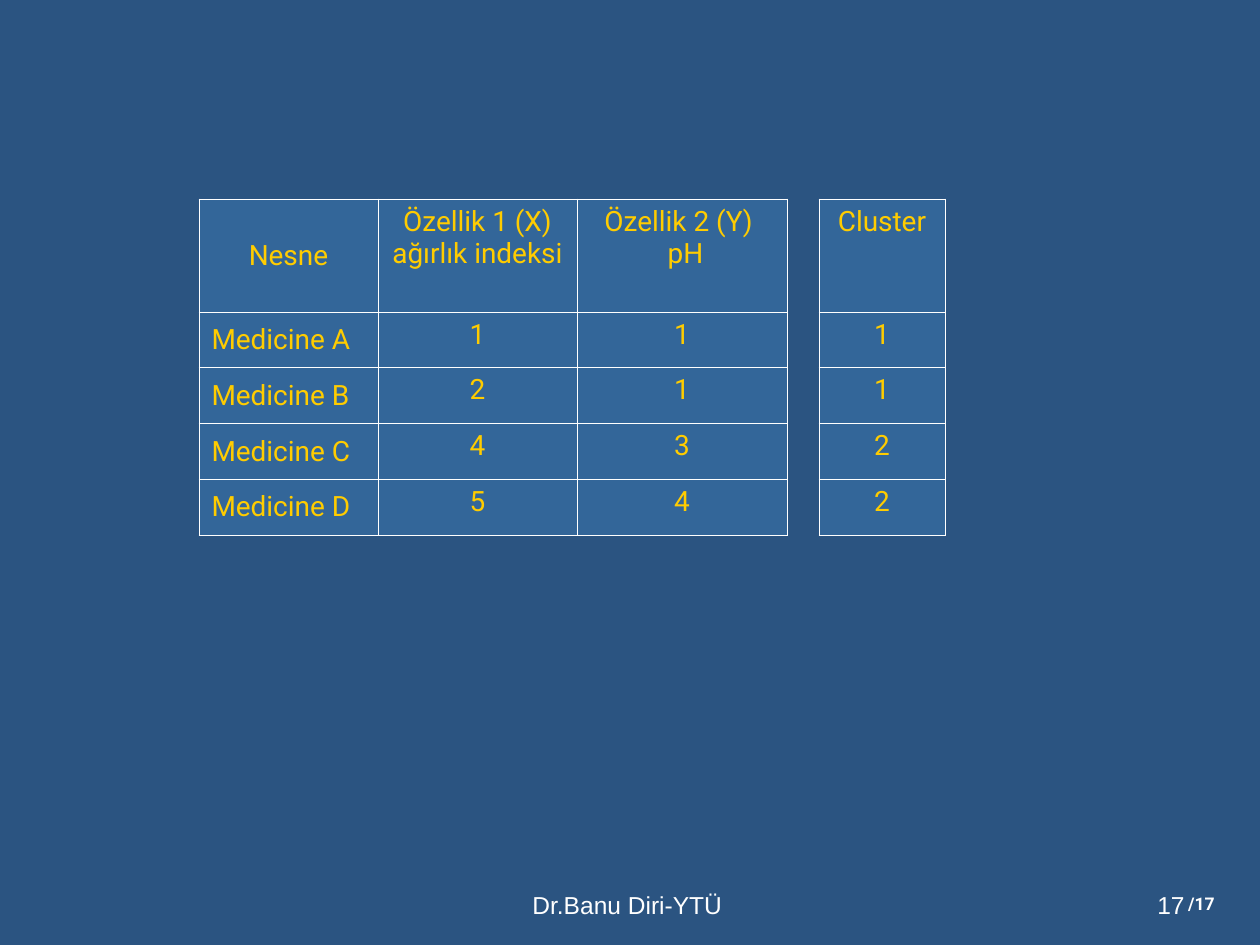
from lxml import etree
from pptx import Presentation
from pptx.dml.color import RGBColor
from pptx.enum.text import MSO_ANCHOR, PP_ALIGN
from pptx.oxml.ns import qn
from pptx.util import Cm, Pt

LEFT, CENTER, RIGHT = PP_ALIGN.LEFT, PP_ALIGN.CENTER, PP_ALIGN.RIGHT
TOP, MIDDLE, BOTTOM = MSO_ANCHOR.TOP, MSO_ANCHOR.MIDDLE, MSO_ANCHOR.BOTTOM
COLORS = {"background": "2B5481", "cell": "336699", "table_text": "FFCC00", "white": "FFFFFF"}
BORDER_WIDTH = Pt(0.45)
TABLE_TOP = 4.01
ROW_HEIGHTS = [2.28] + [1.125] * 4
FOOTER_TOP, FOOTER_HEIGHT = 17.35, 1.32

MEDICINES = [
    ["Nesne", "Özellik 1 (X)\nağırlık indeksi", "Özellik 2 (Y) \n pH"],
    ["Medicine A", "1", "1"],
    ["Medicine B", "2", "1"],
    ["Medicine C", "4", "3"],
    ["Medicine D", "5", "4"],
]
CLUSTERS = [["Cluster"], ["1"], ["1"], ["2"], ["2"]]


def rgb(name):
    return RGBColor.from_string(COLORS[name])


class SlideBuilder:
    def __init__(self, slide):
        self.slide = slide
        fill = slide.background.fill
        fill.solid()
        fill.fore_color.rgb = rgb("background")

    def style_text(self, frame, size, font, color, align, bold=False):
        for paragraph in frame.paragraphs:
            paragraph.alignment = align
            paragraph.font.size = Pt(size)
            paragraph.font.name = font
            paragraph.font.bold = bold
            paragraph.font.color.rgb = rgb(color)

    def text(self, text, left, top, width, height, size, font, align, anchor, bold=False):
        box = self.slide.shapes.add_textbox(Cm(left), Cm(top), Cm(width), Cm(height))
        frame = box.text_frame
        frame.word_wrap = True
        frame.vertical_anchor = anchor
        frame.text = text
        self.style_text(frame, size, font, "white", align, bold)

    def border(self, cell):
        properties = cell._tc.get_or_add_tcPr()
        for side in ("a:lnL", "a:lnR", "a:lnT", "a:lnB"):
            line = etree.SubElement(properties, qn(side), w=str(BORDER_WIDTH))
            fill = etree.SubElement(line, qn("a:solidFill"))
            etree.SubElement(fill, qn("a:srgbClr"), val=COLORS["white"])

    def table(self, rows, left, widths, label_column=None):
        frame = self.slide.shapes.add_table(
            len(rows), len(widths), Cm(left), Cm(TABLE_TOP), Cm(sum(widths)), Cm(sum(ROW_HEIGHTS))
        )
        table = frame.table
        table.first_row = False
        table.horz_banding = False
        for column, width in zip(table.columns, widths):
            column.width = Cm(width)
        for row_index, (row, height) in enumerate(zip(table.rows, ROW_HEIGHTS)):
            row.height = Cm(height)
            for column_index, cell in enumerate(row.cells):
                is_label = column_index == label_column
                cell.text = rows[row_index][column_index]
                cell.vertical_anchor = MIDDLE if is_label else TOP
                align = LEFT if is_label and row_index else CENTER
                self.style_text(cell.text_frame, 16, "Roboto", "table_text", align)
                self.border(cell)
                cell.fill.solid()
                cell.fill.fore_color.rgb = rgb("cell")


def main():
    deck = Presentation()
    deck.slide_width, deck.slide_height = Cm(25.4), Cm(19.05)
    page = SlideBuilder(deck.slides.add_slide(deck.slide_layouts[6]))
    page.table(MEDICINES, 4.01, [3.61, 4.01, 4.24], label_column=0)
    page.table(CLUSTERS, 16.51, [2.54])
    page.text("/17", 23.7, 17.88, 1.27, 0.69, 10, "Roboto", LEFT, TOP, bold=True)
    page.text("Dr.Banu Diri-YTÜ ", 8.69, FOOTER_TOP, 8.05, FOOTER_HEIGHT, 14, "Arial", CENTER, BOTTOM)
    page.text("17", 18.21, FOOTER_TOP, 5.92, FOOTER_HEIGHT, 14, "Arial", RIGHT, BOTTOM)
    deck.save("out.pptx")


if __name__ == "__main__":
    main()
